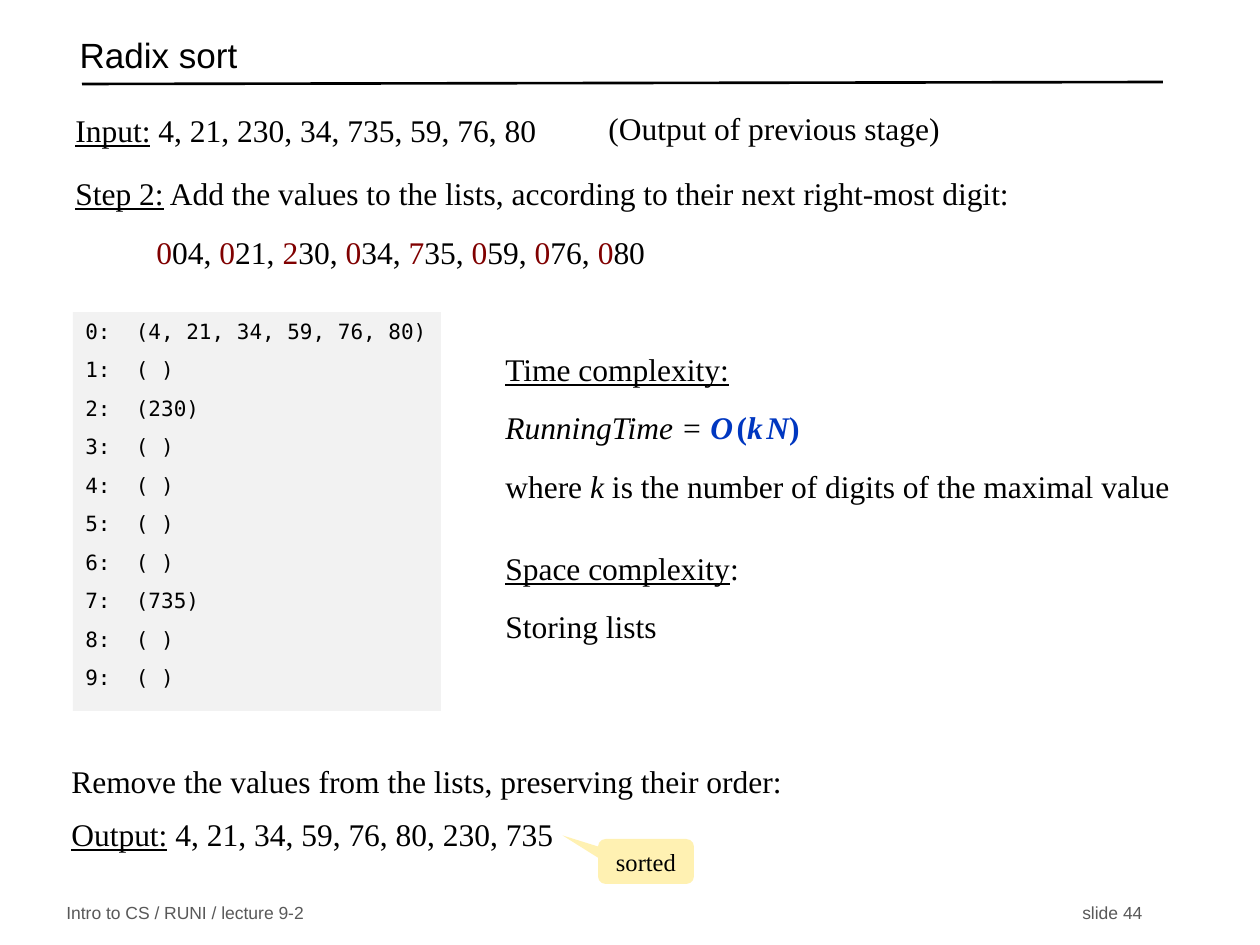
"""Build the radix sort slide with its second step and complexity."""
import pptx
import pptx.dml.color
import pptx.enum.shapes
import pptx.enum.text
import pptx.oxml
import pptx.oxml.ns
import pptx.util

PX = 914400 / 126
SERIF, SANS, MONO = "Times New Roman", "Arial", "DejaVu Sans Mono"
BLACK, GREY, RED, BLUE = "000000", "595959", "800000", "0037C0"


def rgb(value):
    return pptx.dml.color.RGBColor.from_string(value)


def write(tf, paras, font=SERIF, size=18, gap=11.7):
    tf.word_wrap = True
    for i, runs in enumerate(paras):
        p = tf.paragraphs[0] if i == 0 else tf.add_paragraph()
        p.alignment = pptx.enum.text.PP_ALIGN.LEFT
        if i:
            p.space_before = pptx.util.Pt(gap)
        for text, style in runs:
            r = p.add_run()
            r.text = text
            r.font.name = font
            r.font.size = pptx.util.Pt(style.get("size", size))
            r.font.color.rgb = rgb(style.get("color", BLACK))
            r.font.underline = style.get("underline")
            r.font.italic = style.get("italic")
            r.font.bold = style.get("bold")


prs = pptx.Presentation()
prs.slide_width, prs.slide_height = pptx.util.Inches(10), pptx.util.Inches(7.5)
s = prs.slides.add_slide(prs.slide_layouts[5])

line = s.shapes.add_connector(
    pptx.enum.shapes.MSO_CONNECTOR.STRAIGHT,
    *[round(v * PX) for v in (82, 84, 1163, 82)])
line.line.color.rgb = rgb(BLACK)
line.line.width = pptx.util.Pt(1.5)
line._element.spPr.append(pptx.oxml.parse_xml(
    f"<a:effectLst {pptx.oxml.ns.nsdecls('a')}/>"))

title = s.shapes.title
title.left, title.top, title.width, title.height = [round(v * PX) for v in (67, 28, 1084, 63)]
tf = title.text_frame
tf.auto_size = pptx.enum.text.MSO_AUTO_SIZE.NONE
tf.vertical_anchor = pptx.enum.text.MSO_ANCHOR.MIDDLE
write(tf, [[("Radix sort", {})]], SANS, 20)
tf.paragraphs[0].line_spacing = 0.7

plain, under, italic = {}, {"underline": True}, {"italic": True}
blue = {"color": BLUE, "bold": True}
blue_italic = {**blue, "italic": True}
thin = {**blue_italic, "size": 8}

digits = []
for value in ["004", "021", "230", "034", "735", "059", "076", "080"]:
    digits += [(value[0], {"color": RED}), (value[1:] + ", ", plain)]
digits[-1] = ("80", plain)

boxes = [
    (596, 103, 536, 63, [[("(Output of previous stage)", plain)]]),
    (63, 168, 1134, 63, [[("Step 2:", under), (
        " Add the values to the lists, according to their next right-most digit:", plain)]]),
    (63, 105, 536, 63, [[("Input:", under), (" 4, 21, 230, 34, 735, 59, 76, 80", plain)]]),
    (59, 809, 518, 63, [[("Output:", under), (" 4, 21, 34, 59, 76, 80, 230, 735", plain)]]),
    (59, 756, 819, 63, [[("Remove the values from the lists, preserving their order:", plain)]]),
    (493, 344, 741, 199, [
        [("Time complexity:", under)],
        [("RunningTime = ", italic), ("O", blue_italic), (" ", thin), ("(", blue),
         ("k", blue_italic), (" ", thin), ("N", blue_italic), (")", blue)],
        [("where ", plain), ("k", italic),
         (" is the number of digits of the maximal value", plain)]]),
    (493, 543, 741, 199, [
        [("Space complexity", under), (":", plain)],
        [("Storing lists", plain)]]),
    (144, 227, 609, 63, [digits]),
]
for x, y, w, h, paras in boxes:
    tb = s.shapes.add_textbox(*[round(v * PX) for v in (x, y, w, h)])
    write(tb.text_frame, paras)

lists = {0: "(4, 21, 34, 59, 76, 80)", 2: "(230)", 7: "(735)"}
rows = [[(f"{i}:  {lists.get(i, '( )')}", plain)] for i in range(10)]
shapes = [
    (pptx.enum.shapes.MSO_SHAPE.RECTANGLE, (73, 312, 368, 399), "F2F2F2", rows, MONO, 12),
    (pptx.enum.shapes.MSO_SHAPE.ROUNDED_RECTANGULAR_CALLOUT, (598, 839, 96, 45), "FFF1B2",
     [[("sorted", plain)]], SERIF, 14),
]
for kind, box, fill, paras, font, size in shapes:
    sp = s.shapes.add_shape(kind, *[round(v * PX) for v in box])
    sp.shadow.inherit = False
    sp.fill.solid()
    sp.fill.fore_color.rgb = rgb(fill)
    sp.line.fill.background()
    sp.text_frame.vertical_anchor = pptx.enum.text.MSO_ANCHOR.TOP
    write(sp.text_frame, paras, font, size, 7.6)
sp.adjustments[0], sp.adjustments[1], sp.adjustments[2] = -0.87, -0.58, 0.17
sp.text_frame.vertical_anchor = pptx.enum.text.MSO_ANCHOR.MIDDLE
sp.text_frame.paragraphs[0].alignment = pptx.enum.text.PP_ALIGN.CENTER

footer = s.shapes.add_textbox(*[round(v * PX) for v in (54, 900, 1110, 26)])
tf = footer.text_frame
tf.vertical_anchor = pptx.enum.text.MSO_ANCHOR.MIDDLE
write(tf, [[("Intro to CS / RUNI / lecture 9-2\tslide 44", {"color": GREY})]], SANS, 10)
tf.paragraphs[0]._p.get_or_add_pPr().append(pptx.oxml.parse_xml(
    f'<a:tabLst {pptx.oxml.ns.nsdecls("a")}><a:tab pos="{round(1076 * PX)}" algn="r"/></a:tabLst>'))

prs.save("out.pptx")
